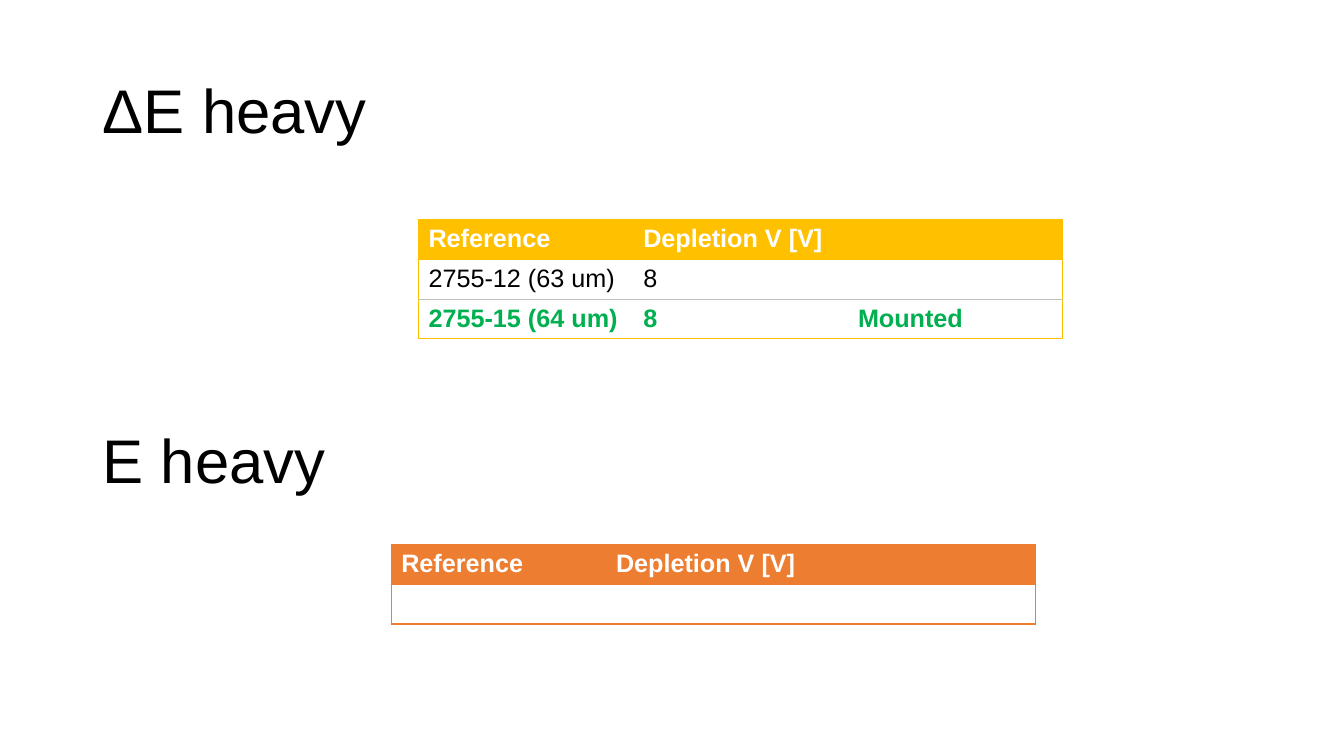
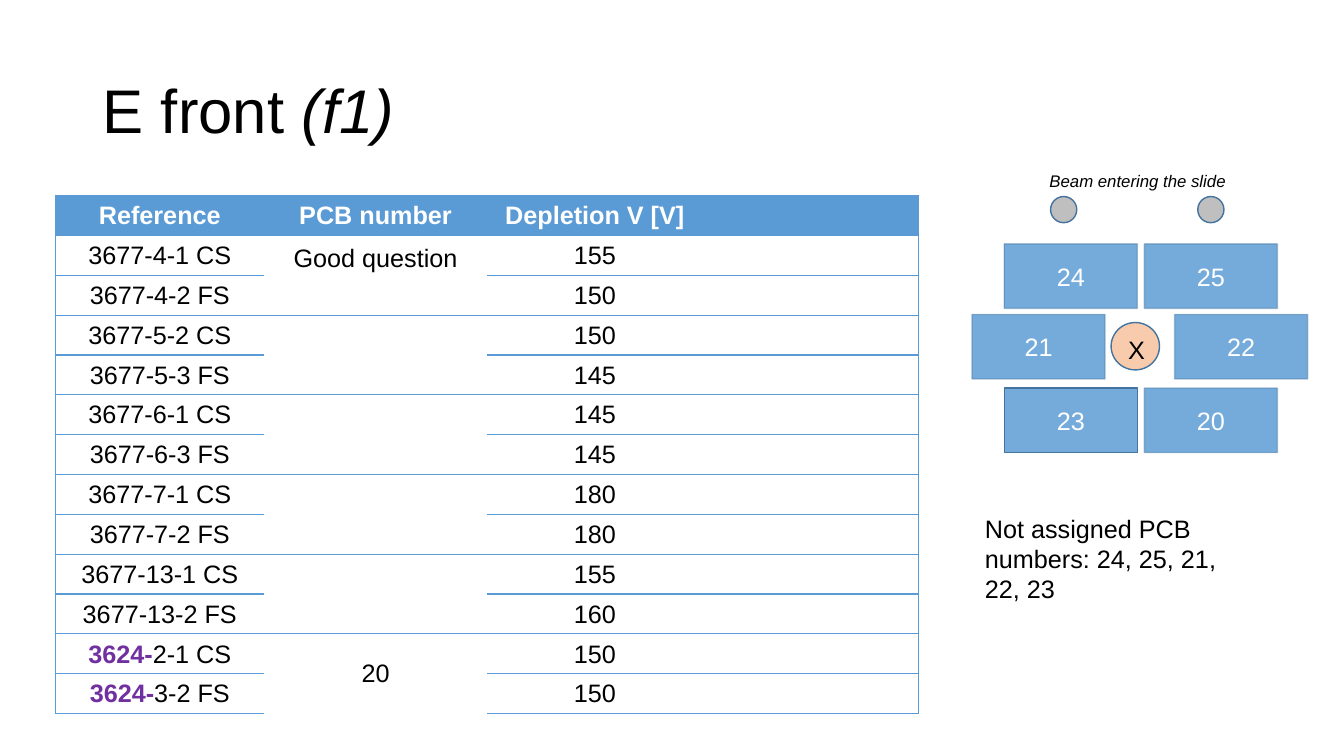
from dataclasses import dataclass
from lxml.etree import SubElement
from pptx import Presentation
from pptx.dml.color import RGBColor
from pptx.enum.shapes import MSO_SHAPE
from pptx.enum.text import MSO_ANCHOR, MSO_AUTO_SIZE, PP_ALIGN
from pptx.oxml.ns import qn
from pptx.util import Inches, Pt


@dataclass(frozen=True)
class Theme:
    font: str = "Arial"
    title: int = 44
    body: int = 18
    small: int = 12
    black: str = "000000"
    white: str = "FFFFFF"
    gold: str = "FFC000"
    orange: str = "ED7D31"
    blue: str = "5B9BD5"
    navy: str = "43739E"
    green: str = "00B050"
    purple: str = "7030A0"
    gray: str = "BFBFBF"


theme = Theme()
NO_STYLE = "{2D5ABB26-0587-4C30-8999-92F81FD0307C}"


def put(par, text, size=theme.body, color=theme.black, bold=False, italic=False):
    """Add one run to a paragraph."""
    run = par.add_run()
    run.text = text
    font = run.font
    font.name, font.size = theme.font, Pt(size)
    font.bold, font.italic = bold, italic
    font.color.rgb = RGBColor.from_string(color)


def grid(slide, left, top, widths, height, rows, color, rule, pairs=None):
    """Add a table; column `pairs` is merged two rows at a time."""
    count = len(rows)
    table = slide.shapes.add_table(
        count, len(widths), Inches(left), Inches(top),
        Inches(sum(widths)), Inches(height * count)).table
    table._tbl.tblPr.find(qn("a:tableStyleId")).text = NO_STYLE
    for col, width in zip(table.columns, widths):
        col.width = Inches(width)
    for r, row in enumerate(rows):
        table.rows[r].height = Inches(height)
        for c, runs in enumerate(row):
            cell = table.cell(r, c)
            cell.margin_top, cell.margin_bottom = Inches(0.05), Inches(0.04)
            # Outer frame and row rules
            edges = {}
            if c == 0:
                edges["L"] = color
            if c == len(widths) - 1:
                edges["R"] = color
            if c != pairs or r == 0 or r % 2:
                edges["T"] = color if r < 2 else rule
            if c != pairs or r % 2 == 0:
                edges["B"] = color if r in (0, count - 1) else rule
            for side, tint in edges.items():
                line = SubElement(cell._tc.get_or_add_tcPr(),
                                  qn("a:ln" + side), w=str(Pt(1)))
                SubElement(SubElement(line, qn("a:solidFill")),
                           qn("a:srgbClr"), val=tint)
            cell.fill.solid()
            cell.fill.fore_color.rgb = RGBColor.from_string(
                theme.white if r else color)
            # Cell text
            par = cell.text_frame.paragraphs[0]
            if pairs is not None:
                cell.vertical_anchor = MSO_ANCHOR.MIDDLE
                par.alignment = PP_ALIGN.CENTER
            for text, tint, bold in runs:
                put(par, text, color=tint, bold=bold)
    if pairs is not None:
        for r in range(1, count, 2):
            table.cell(r, pairs).merge(table.cell(r + 1, pairs))
    return table


deck = Presentation()
deck.slide_width, deck.slide_height = Inches(13.33), Inches(7.5)
heavy, front = [deck.slides.add_slide(deck.slide_layouts[5]) for _ in range(2)]

# Headings
lower = heavy.shapes.add_textbox(0, 0, 0, 0)
for box, top, parts in [
    (heavy.shapes.title, 0.4, [("ΔE heavy", False)]),
    (lower, 3.87, [("E heavy", False)]),
    (front.shapes.title, 0.4, [("E front ", False), ("(f1)", True)]),
]:
    box.left, box.top = Inches(0.92), Inches(top)
    box.width, box.height = Inches(11.5), Inches(1.45)
    frame = box.text_frame
    frame.word_wrap, frame.auto_size = True, MSO_AUTO_SIZE.NONE
    frame.vertical_anchor = MSO_ANCHOR.MIDDLE
    par = frame.paragraphs[0]
    par.alignment, par.line_spacing = PP_ALIGN.LEFT, 0.9
    for text, italic in parts:
        put(par, text, theme.title, italic=italic)

# Heavy detectors
head = [[("Reference", theme.white, True)],
        [("Depletion V [V]", theme.white, True)], []]
spare = [[("2755-12 (63 um)", theme.black, False)],
         [("8", theme.black, False)], []]
used = [[(text, theme.green, True)] for text in ("2755-15 (64 um)", "8", "Mounted")]
thirds = [2.13] * 3
grid(heavy, 4.15, 2.18, thirds, 0.39, [head, spare, used], theme.gold, theme.gray)
grid(heavy, 3.88, 5.4, thirds, 0.39, [head, [[], [], []]], theme.orange, theme.orange)

# Front detectors
boards = {1: "Good question", 11: "20"}
tests = [
    ("3677-", "4-1 CS", "155"), ("3677-", "4-2 FS", "150"),
    ("3677-", "5-2 CS", "150"), ("3677-", "5-3 FS", "145"),
    ("3677-", "6-1 CS", "145"), ("3677-", "6-3 FS", "145"),
    ("3677-", "7-1 CS", "180"), ("3677-", "7-2 FS", "180"),
    ("3677-", "13-1 CS", "155"), ("3677-", "13-2 FS", "160"),
    ("3624-", "2-1 CS", "150"), ("3624-", "3-2 FS", "150"),
]
rows = [[head[0], [("PCB number", theme.white, True)], head[1], []]]
for r, (batch, chip, volts) in enumerate(tests, 1):
    mark = batch == "3624-"
    name = ([(batch, theme.purple, True), (chip, theme.black, False)] if mark
            else [(batch + chip, theme.black, False)])
    board = [(boards[r], theme.black, False)] if r in boards else []
    rows.append([name, board, [(volts, theme.black, False)], []])
table = grid(front, 0.55, 1.94, [2.07, 2.21, 2.14, 2.14], 0.38, rows,
             theme.blue, theme.blue, pairs=1)
asked = table.cell(1, 1)
asked.vertical_anchor = MSO_ANCHOR.TOP
asked.margin_top, asked.margin_bottom = Inches(0.09), 0

# Board layout around the beam: place, size, label, fill, fill and line opacity
group = front.shapes.add_group_shape().shapes
plan = [
    (group, x, y, 1.32, 0.64, label, theme.blue, 84, 100 if label == "23" else 43)
    for y, pair in [(2.42, [(9.96, "24"), (11.35, "25")]),
                    (3.12, [(9.64, "21"), (11.65, "22")]),
                    (3.85, [(9.96, "23"), (11.35, "20")])]
    for x, label in pair
]
plan += [(group, x, 1.95, 0.26, 0.26, "", theme.gray, 100, 100) for x in (10.42, 11.88)]
plan.append((front.shapes, 11.02, 3.2, 0.48, 0.47, "X", theme.orange, 40, 100))
for home, x, y, w, h, label, color, *alphas in plan:
    board = color == theme.blue
    kind = MSO_SHAPE.RECTANGLE if board else MSO_SHAPE.FLOWCHART_CONNECTOR
    shape = home.add_shape(kind, Inches(x), Inches(y), Inches(w), Inches(h))
    shape.shadow.inherit = False
    shape.fill.solid()
    shape.fill.fore_color.rgb = RGBColor.from_string(color)
    shape.line.color.rgb = RGBColor.from_string(theme.navy)
    shape.line.width = Pt(1)
    for tint, alpha in zip(shape._element.spPr.iter(qn("a:srgbClr")), alphas):
        if alpha < 100:
            SubElement(tint, qn("a:alpha"), val=str(alpha * 1000))
    if label:
        frame = shape.text_frame
        frame.vertical_anchor = MSO_ANCHOR.MIDDLE if board else MSO_ANCHOR.TOP
        par = frame.paragraphs[0]
        par.alignment = PP_ALIGN.CENTER if board else PP_ALIGN.LEFT
        put(par, label, color=theme.white if board else theme.black)

# Remarks
for x, y, w, h, text, size, italic in [
    (9.67, 5.04, 2.85, 1, "Not assigned PCB numbers: 24, 25, 21, 22, 23",
     theme.body, False),
    (10.31, 1.64, 2.89, 0.3, "Beam entering the slide", theme.small, True),
]:
    box = front.shapes.add_textbox(Inches(x), Inches(y), Inches(w), Inches(h))
    box.text_frame.word_wrap = True
    put(box.text_frame.paragraphs[0], text, size, italic=italic)

deck.save("out.pptx")
